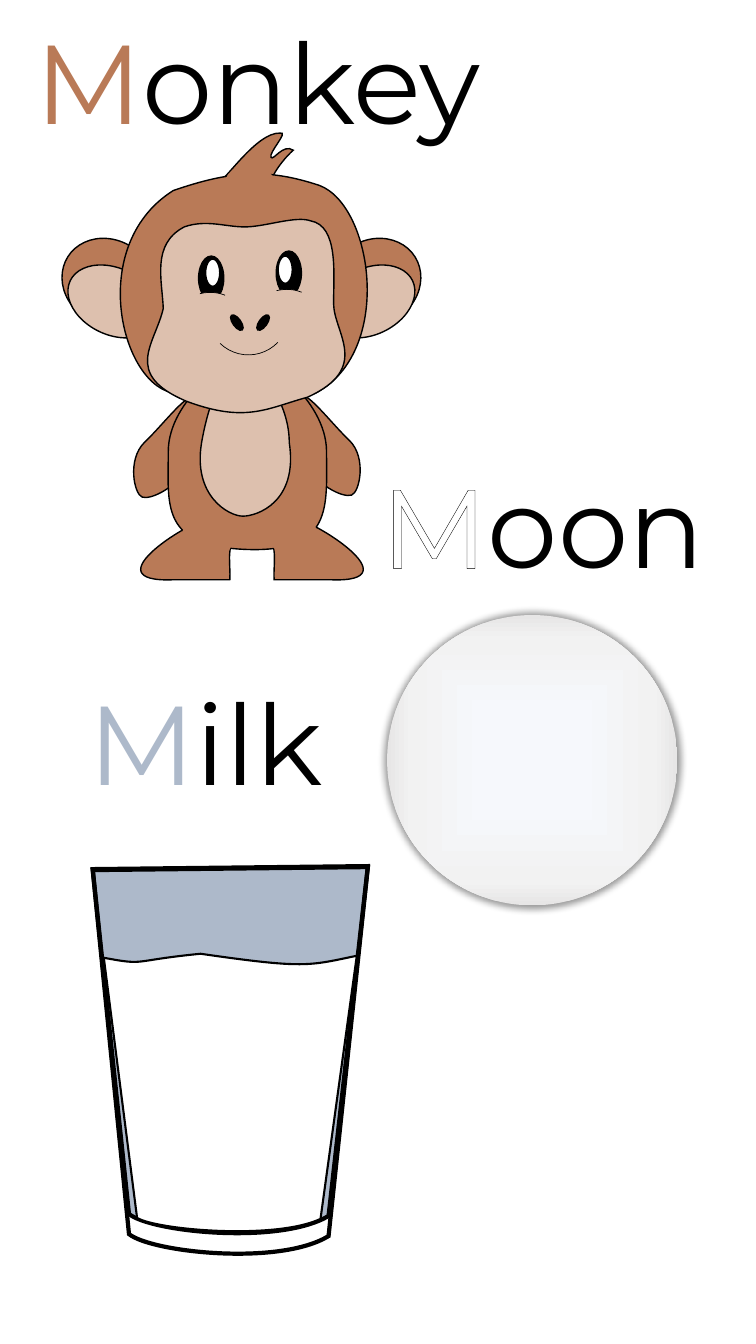
"""Build a slide of words starting with M: monkey, moon and milk."""
from math import cos, radians, sin

from lxml.etree import SubElement
from pptx import Presentation
from pptx.dml.color import RGBColor
from pptx.enum.shapes import MSO_SHAPE as Preset
from pptx.enum.text import MSO_AUTO_SIZE as AutoSize
from pptx.oxml import parse_xml
from pptx.oxml.ns import nsdecls, qn
from pptx.util import Inches, Pt

COLUMNS, ROWS = 7.5, 13.33
CELL = Inches(1)
CURVE_STEPS = 16

BLACK = RGBColor(0x00, 0x00, 0x00)
WHITE = RGBColor(0xFF, 0xFF, 0xFF)
FUR = RGBColor(0xB9, 0x7A, 0x57)
SKIN = RGBColor(0xDD, 0xC0, 0xAE)
GLASS = RGBColor(0xAD, 0xB9, 0xCA)
MOON_STOPS = ((31, RGBColor(0xF6, 0xF8, 0xFC)), (83, RGBColor(0xF2, 0xF2, 0xF2)),
              (100, RGBColor(0xE7, 0xE6, 0xE6)))

ARM = [(3.47, 4.37), (3.29, 4.2, 3.06, 3.89, 2.98, 3.92), (2.9, 3.95, 2.85, 4.27, 2.99, 4.54),
       (3.13, 4.82, 3.41, 4.94, 3.49, 4.91), (3.57, 4.88, 3.64, 4.54, 3.47, 4.37)]
FOOT = [(2.92, 5.15), (2.65, 5.24), (2.76, 5.47, 2.71, 5.58, 2.72, 5.75), (3.27, 5.75),
        (4.14, 5.79, 3.05, 5.12, 2.92, 5.15)]
BODY = [(1.67, 4.48), (1.67, 3.95, 2.33, 3.52, 2.45, 3.51), (2.57, 3.5, 3.24, 3.95, 3.24, 4.48),
        (3.24, 5.02, 3.31, 5.48, 2.45, 5.45), (1.59, 5.42, 1.67, 5.02, 1.67, 4.48)]
BELLY = [(2, 4.39), (2.09, 3.87, 2.27, 3.59, 2.41, 3.59), (2.55, 3.59, 2.87, 3.97, 2.87, 4.39),
         (2.96, 4.98, 2.55, 5.12, 2.41, 5.12), (2.27, 5.12, 1.91, 4.92, 2, 4.39)]
TUFT = [(2.15, 1.82), (2.22, 1.82, 2.54, 1.31, 2.78, 1.32), (2.87, 1.3, 2.66, 1.52, 2.69, 1.56),
        (2.71, 1.6, 2.81, 1.42, 2.91, 1.49), (2.85, 1.54, 2.7, 1.71, 2.68, 1.83),
        (2.8, 2.22), (2.15, 2.22), (2.15, 1.82)]
HEAD = [(1.72, 1.89), (2.3, 1.69, 2.66, 1.67, 3.17, 1.84), (3.7, 2.04, 3.91, 3.49, 3.13, 3.9),
        (2.69, 4.02, 2.47, 4.15, 1.81, 3.9), (1.24, 3.97, 0.81, 2.46, 1.72, 1.89)]
FACE = [(1.83, 2.25), (2.06, 2.17, 2.26, 2.26, 2.46, 2.25), (2.66, 2.24, 2.94, 2.14, 3.08, 2.19),
        (3.36, 2.24, 3.31, 2.71, 3.31, 3.01), (3.31, 3.3, 3.69, 3.65, 3.05, 3.94),
        (2.65, 4.05, 2.44, 4.2, 1.85, 3.98), (1.21, 3.71, 1.54, 3.41, 1.62, 3.06),
        (1.61, 2.78, 1.5, 2.42, 1.83, 2.25)]
CROWN = [(2.22, 1.82), (2.27, 1.67, 2.38, 1.61, 2.56, 1.65), (2.75, 1.69, 2.76, 1.86, 2.7, 2.01),
         (2.64, 2.16, 2.49, 2.23, 2.35, 2.18), (2.22, 2.13, 2.16, 1.97, 2.22, 1.82)]
LEFT_HIP = [(1.82, 5.24), (1.88, 5.09, 1.98, 5.03, 2.16, 5.07), (2.34, 5.1, 2.34, 5.28, 2.29, 5.42),
            (2.23, 5.57, 2.08, 5.65, 1.95, 5.6), (1.82, 5.55, 1.76, 5.39, 1.82, 5.24)]
RIGHT_HIP = [(3.13, 5.23), (3.08, 5.09, 2.98, 5.02, 2.81, 5.05), (2.65, 5.08, 2.64, 5.26, 2.7, 5.4),
             (2.76, 5.55, 2.9, 5.63, 3.02, 5.58), (3.14, 5.54, 3.19, 5.38, 3.13, 5.23)]
TINTED_GLASS = [(0.92, 8.62), (3.65, 8.59), (3.26, 12.06),
                (2.77, 12.35, 1.5, 12.22, 1.28, 12.04), (0.92, 8.62)]
GLASS_RIM = [(0.92, 8.63), (3.65, 8.6), (3.26, 12.26),
             (2.77, 12.56, 1.5, 12.42, 1.28, 12.24), (0.92, 8.63)]
MILK = [(1.03, 9.5), (1.46, 9.58, 1.28, 9.53, 1.99, 9.46), (3.03, 9.61, 3.06, 9.58, 3.54, 9.48),
        (3.18, 12.09), (2.73, 12.3, 1.56, 12.2, 1.36, 12.08), (1.03, 9.5)]


def grid(*cells):
    """Turn grid columns or rows into lengths."""
    return [round(cell * CELL) for cell in cells]


def paint(part, fill, line_width):
    """Set fill and black outline; None leaves either out."""
    part.shadow.inherit = False
    if fill is None:
        part.fill.background()
    else:
        part.fill.solid()
        part.fill.fore_color.rgb = fill
    if line_width is None:
        part.line.fill.background()
    else:
        part.line.color.rgb = BLACK
        part.line.width = Pt(line_width)
        SubElement(part._element.spPr.find(qn("a:ln")), qn("a:miter"), lim="800000")


def pairs(step):
    """Split a step into its points."""
    return list(zip(step[::2], step[1::2]))


def flatten(steps):
    """Yield points along the path, enough to find its extent."""
    pen = steps[0]
    for step in steps[1:]:
        if len(step) == 2:
            yield step
        else:
            knots = [pen, *pairs(step)]
            for index in range(1, CURVE_STEPS + 1):
                t = index / CURVE_STEPS
                weights = ((1 - t) ** 3, 3 * t * (1 - t) ** 2, 3 * t * t * (1 - t), t ** 3)
                yield tuple(sum(w * knot[axis] for w, knot in zip(weights, knots))
                            for axis in (0, 1))
        pen = step[-2:]


def turned(steps, angle, center):
    """Turn a path clockwise about a center."""
    c, s = cos(radians(angle)), sin(radians(angle))
    cx, cy = center
    return [tuple(value for x, y in pairs(step)
                  for value in (cx + (x - cx) * c - (y - cy) * s,
                                cy + (x - cx) * s + (y - cy) * c)) for step in steps]


def outline(group, steps, fill, line_width=1, rotation=0, center=(0, 0)):
    """Draw a closed outline with true curves, held in its unrotated frame."""
    steps = turned(steps, -rotation, center)
    builder = group.shapes.build_freeform(*grid(*steps[0]), scale=1.0)
    builder.add_line_segments([grid(*point) for point in flatten(steps)], close=True)
    part = builder.convert_to_shape()
    track = part._element.spPr.find(".//" + qn("a:path"))
    for segment in list(track):
        track.remove(segment)
    for index, step in enumerate(steps):
        kind = "a:moveTo" if index == 0 else "a:lnTo" if len(step) == 2 else "a:cubicBezTo"
        segment = SubElement(track, qn(kind))
        for point in pairs(step):
            x, y = grid(*point)
            SubElement(segment, qn("a:pt"), x=str(x - part.left), y=str(y - part.top))
    SubElement(track, qn("a:close"))
    part.rotation = rotation
    paint(part, fill, line_width)


def mirrored(steps, axis, drop=0):
    """Reflect a path across a vertical axis and lower it."""
    return [tuple(value for x, y in pairs(step) for value in (2 * axis - x, y + drop))
            for step in steps]


def preset(group, kind, box, fill, line_width=1, rotation=0):
    """Draw a preset shape on the grid."""
    part = group.shapes.add_shape(kind, *grid(*box))
    part.rotation = rotation
    paint(part, fill, line_width)
    return part


def arc(group, box, span, rotation, fill=None):
    """Draw a thin arc over a span of adjustment values."""
    curve = preset(group, Preset.ARC, box, fill, 0.5, rotation)
    curve.adjustments[0], curve.adjustments[1] = span


def word(group, box, initial_color, rest):
    """Write a word whose outlined initial M has its own colour."""
    label = group.shapes.add_textbox(*grid(*box)).text_frame
    label.word_wrap = True
    label.auto_size = AutoSize.SHAPE_TO_FIT_TEXT
    paragraph = label.paragraphs[0]
    paragraph.font.size = Pt(80)
    paragraph.font.name = "Montserrat"
    for text, color in (("M", initial_color), (rest, BLACK)):
        run = paragraph.add_run()
        run.text = text
        run.font.color.rgb = color
    paragraph.runs[0].font._element.insert(0, parse_xml(
        f'<a:ln {nsdecls("a")} w="{Pt(0.75)}"><a:solidFill>'
        f'<a:srgbClr val="{BLACK}"/></a:solidFill></a:ln>'))


def draw_moon(group):
    """Draw the shaded moon and its word."""
    word(group, (3.68, 4.48, 3.67, 1.45), WHITE, "oon")
    moon = preset(group, Preset.OVAL, (3.84, 6.1, 2.88, 2.88), WHITE, None)
    properties = moon._element.spPr
    stops = "".join(f'<a:gs pos="{share * 1000}"><a:srgbClr val="{color}"/></a:gs>'
                    for share, color in MOON_STOPS)
    properties.replace(properties.find(qn("a:solidFill")), parse_xml(
        f'<a:gradFill {nsdecls("a")} rotWithShape="1"><a:gsLst>{stops}</a:gsLst>'
        '<a:path path="shape"><a:fillToRect l="50000" t="50000" r="50000" b="50000"/>'
        '</a:path></a:gradFill>'))
    glow = SubElement(properties.find(qn("a:effectLst")), qn("a:outerShdw"), blurRad=str(Pt(5)),
                      sx="102000", sy="102000", algn="ctr", rotWithShape="0")
    shade = SubElement(glow, qn("a:srgbClr"), val=str(BLACK))
    SubElement(shade, qn("a:alpha"), val="40000")


def draw_monkey(group):
    """Draw the monkey and its word."""
    outline(group, ARM, FUR, 1, 332.8, (3.22, 4.42))
    outline(group, FOOT, FUR)
    outline(group, mirrored(FOOT, 2.5), FUR)
    outline(group, mirrored(ARM, 2.45, 0.02), FUR, 1, 27.2, (1.68, 4.44))
    for steps, fill in ((BODY, FUR), (BELLY, SKIN), (TUFT, FUR)):
        outline(group, steps, fill)
    for is_right in (False, True):
        for left, top, height, fill, tilt in ((0.6, 2.38, 0.84, FUR, 32.2),
                                              (0.65, 2.66, 0.66, SKIN, 25.7)):
            side, turn = (3.84 - left, 360 - tilt) if is_right else (left, tilt)
            preset(group, Preset.OVAL, (side, top, 0.95, height), fill, rotation=turn)
    outline(group, HEAD, FUR)
    outline(group, FACE, SKIN)
    for left, top, width, height, fill in ((2.74, 2.49, 0.25, 0.44, BLACK),
                                           (1.97, 2.54, 0.25, 0.44, BLACK),
                                           (2.04, 2.57, 0.14, 0.27, WHITE),
                                           (2.76, 2.54, 0.14, 0.27, WHITE)):
        preset(group, Preset.OVAL, (left, top, width, height), fill)
    for left, tilt in ((2.31, 324.1), (2.57, 35.9)):
        preset(group, Preset.OVAL, (left, 3.11, 0.08, 0.18), BLACK, rotation=tilt)
    for patch, tilt, center in ((CROWN, 21.3, (2.46, 1.92)), (LEFT_HIP, 21.3, (2.06, 5.33)),
                                (RIGHT_HIP, 338.7, (2.91, 5.32))):
        outline(group, patch, FUR, None, tilt, center)
    arc(group, (2.44, 2.87, 0.81, 0.81), (189.76, 211.3), 299.3, SKIN)
    arc(group, (2.06, 2.71, 0.81, 0.81), (0, 54), 43.9)
    arc(group, (1.68, 2.9, 0.81, 0.81), (189.76, 211.3), 299.3, SKIN)
    word(group, (0.25, 0.07, 4.97, 1.45), FUR, "onkey")


def draw_milk(group):
    """Draw the glass of milk and its word."""
    word(group, (0.78, 6.63, 3.02, 1.45), GLASS, "ilk")
    outline(group, TINTED_GLASS, GLASS, 3)
    outline(group, GLASS_RIM, None, 3)
    outline(group, MILK, WHITE, 1.5)


def main():
    """Build and save the slide."""
    deck = Presentation()
    deck.slide_width, deck.slide_height = grid(COLUMNS, ROWS)
    slide = deck.slides.add_slide(deck.slide_layouts[6])
    for draw in (draw_moon, draw_monkey, draw_milk):
        draw(slide.shapes.add_group_shape())
    deck.save("out.pptx")


if __name__ == "__main__":
    main()
